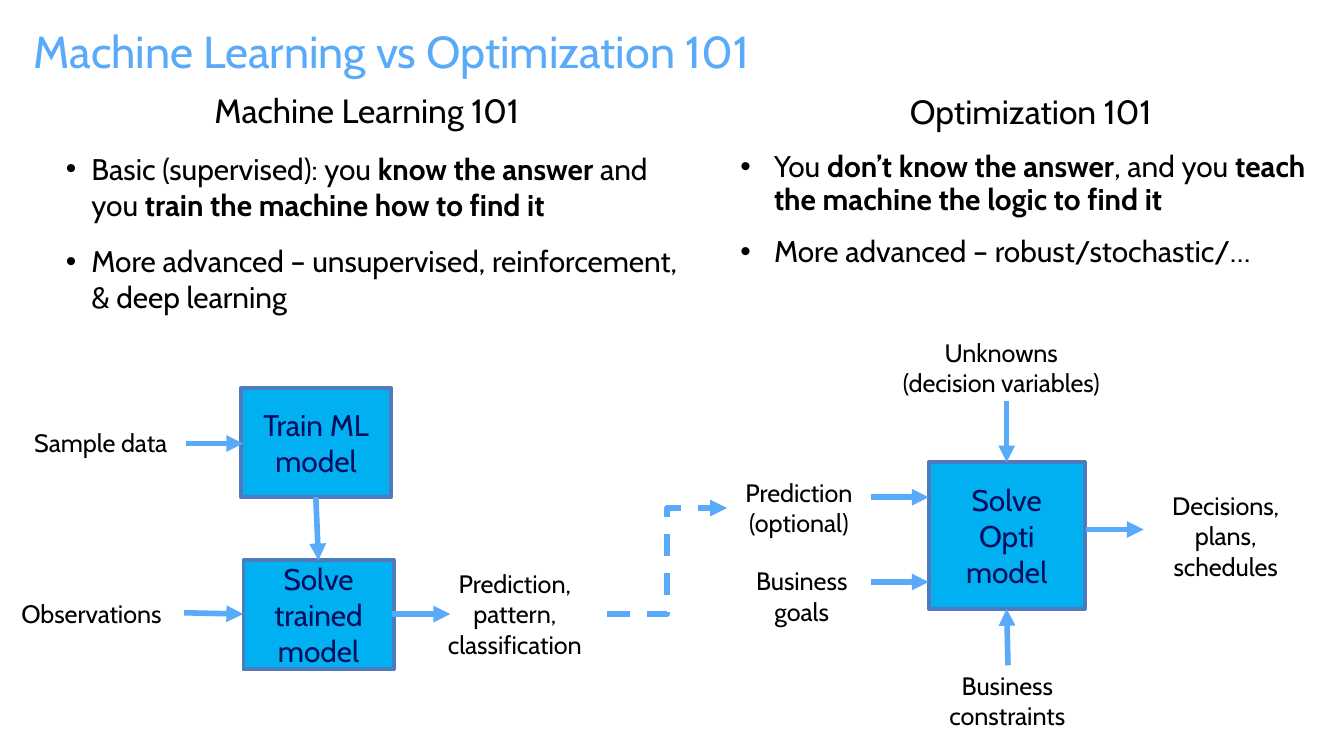
from pptx import Presentation
from pptx.dml.color import RGBColor
from pptx.enum.dml import MSO_LINE
from pptx.enum.shapes import MSO_CONNECTOR, MSO_SHAPE
from pptx.enum.text import MSO_ANCHOR, PP_ALIGN
from pptx.oxml.ns import qn
from pptx.util import Pt
from lxml.etree import SubElement

SKY = RGBColor(0x5A, 0xAA, 0xFA)
CYAN = RGBColor(0x00, 0xB0, 0xF0)
EDGE = RGBColor(0x4E, 0x7B, 0xBD)
NAVY = RGBColor(0x00, 0x0E, 0x5E)
BLACK = RGBColor(0, 0, 0)
FONT = "Cabin"


def style(para, size, color, align=None):
    para.alignment = align
    for run in para.runs:
        run.font.name = FONT
        run.font.size = Pt(size)
        run.font.color.rgb = color


def frame(slide, box, pad):
    text = slide.shapes.add_textbox(*map(Pt, box)).text_frame
    text.word_wrap = True
    text.margin_left = text.margin_right = Pt(pad[0])
    text.margin_top = text.margin_bottom = Pt(pad[1])
    return text


def label(slide, box, words):
    text = frame(slide, box, (7.2, 3.6))
    text.text = words
    for para in text.paragraphs:
        style(para, 13.5, BLACK, PP_ALIGN.CENTER)


def node(slide, box, words):
    shape = slide.shapes.add_shape(MSO_SHAPE.RECTANGLE, *map(Pt, box))
    shape.shadow.inherit = False
    shape.fill.solid()
    shape.fill.fore_color.rgb = CYAN
    shape.line.color.rgb = EDGE
    shape.line.width = Pt(2)
    text = shape.text_frame
    text.word_wrap = True
    text.vertical_anchor = MSO_ANCHOR.MIDDLE
    text.text = words
    style(text.paragraphs[0], 16, NAVY, PP_ALIGN.CENTER)


def arrow(slide, ends, kind=MSO_CONNECTOR.STRAIGHT, dash=None):
    link = slide.shapes.add_connector(kind, *map(Pt, ends))
    link.line.color.rgb = SKY
    link.line.width = Pt(3)
    if dash:
        link.line.dash_style = dash
    SubElement(link.line._get_or_add_ln(), qn("a:tailEnd"), type="triangle")
    SubElement(link._element.spPr, qn("a:effectLst"))


def title(slide, box, words):
    text = frame(slide, box, (0, 0))
    text.text = words
    text.paragraphs[0].line_spacing = 0.9
    style(text.paragraphs[0], 24, SKY)


def column(slide, box, pad, head, points, left, hang, space):
    text = frame(slide, box, pad)
    text.text = head
    style(text.paragraphs[0], 18, BLACK, PP_ALIGN.CENTER)
    for point in points:
        para = text.add_paragraph()
        for part, words in enumerate(point.split("**")):
            if words:
                run = para.add_run()
                run.text = words
                run.font.bold = part % 2 == 1
        style(para, 16, BLACK, PP_ALIGN.LEFT)
        props = para._p.get_or_add_pPr()
        props.set("marL", str(Pt(left)))
        props.set("indent", str(-Pt(hang)))
        SubElement(props, qn("a:buFont"), typeface="Arial")
        SubElement(props, qn("a:buChar"), char="•")
    for para in text.paragraphs:
        para.space_before = Pt(11)
        para.line_spacing = space


def flow(slide, box, nodes, labels, arrows):
    x, y = box[:2]
    for (left, top, wide, high), words in nodes:
        node(slide, (x + left, y + top, wide, high), words)
    for (left, top, wide, high), words in labels:
        label(slide, (x + left, y + top, wide, high), words)
    for x1, y1, x2, y2 in arrows:
        arrow(slide, (x + x1, y + y1, x + x2, y + y2))


def learn(slide, box):
    flow(
        slide, box,
        [((129, 0, 80.6, 58.4), "Train ML model"),
         ((130.4, 92.2, 80.6, 58.4), "Solve trained model")],
        [((3.6, 17.4, 100.8, 23.8), "Sample data"),
         ((-0.7, 108.8, 99.4, 23.8), "Observations"),
         ((226.1, 93, 99.4, 56.2), "Prediction, pattern, classification")],
        [(99.4, 29.6, 130.3, 29.6),
         (169.2, 58.4, 170.6, 92.2),
         (98.6, 120.3, 130.3, 121),
         (210.2, 121, 241.2, 121)])


def solve(slide, box):
    flow(
        slide, box,
        [((107.5, 70.7, 83.6, 78.5), "Solve Opti model")],
        [((76.6, 0, 139.7, 40.3), "Unknowns\n(decision variables)"),
         ((-0.5, 75, 77, 40.3), "Prediction\n(optional)"),
         ((1.7, 122.5, 75.6, 40.3), "Business goals"),
         ((102.5, 178.7, 94.3, 40.3), "Business constraints"),
         ((218.4, 82.2, 96.5, 56.2), "Decisions, plans, schedules")],
        [(149.3, 37.6, 149.3, 70.7),
         (76.6, 89.4, 107.5, 89.4),
         (76.6, 134.8, 107.5, 134.8),
         (150, 179.4, 149.3, 149.2),
         (191.8, 106.7, 222.7, 106.7)])


def main():
    deck = Presentation()
    deck.slide_width, deck.slide_height = Pt(720), Pt(405)
    slide = deck.slides.add_slide(deck.slide_layouts[6])
    title(slide, (18, 15.8, 628.6, 30.2), "Machine Learning vs Optimization 101")
    column(slide, (18, 48.2, 357.1, 272.2), (0, 0), "Machine Learning 101", [
        "Basic (supervised): you **know the answer **and "
        "you **train the machine how to find it**",
        "More advanced – unsupervised, reinforcement, & deep learning",
    ], 31, 13.7, 1.0)
    column(slide, (391.7, 48.2, 321.1, 332.6), (5, 2.9), "Optimization 101", [
        "You **don’t know the answer**, and you "
        "**teach the machine the logic to find it**",
        "More advanced – robust/stochastic/…",
    ], 18, 18, 0.9)
    learn(slide, (0, 208, 326, 151))
    solve(slide, (390, 177, 315, 219))
    arrow(slide, (325.4, 329, 389.5, 272.2), MSO_CONNECTOR.ELBOW, MSO_LINE.DASH)
    deck.save("out.pptx")


if __name__ == "__main__":
    main()
